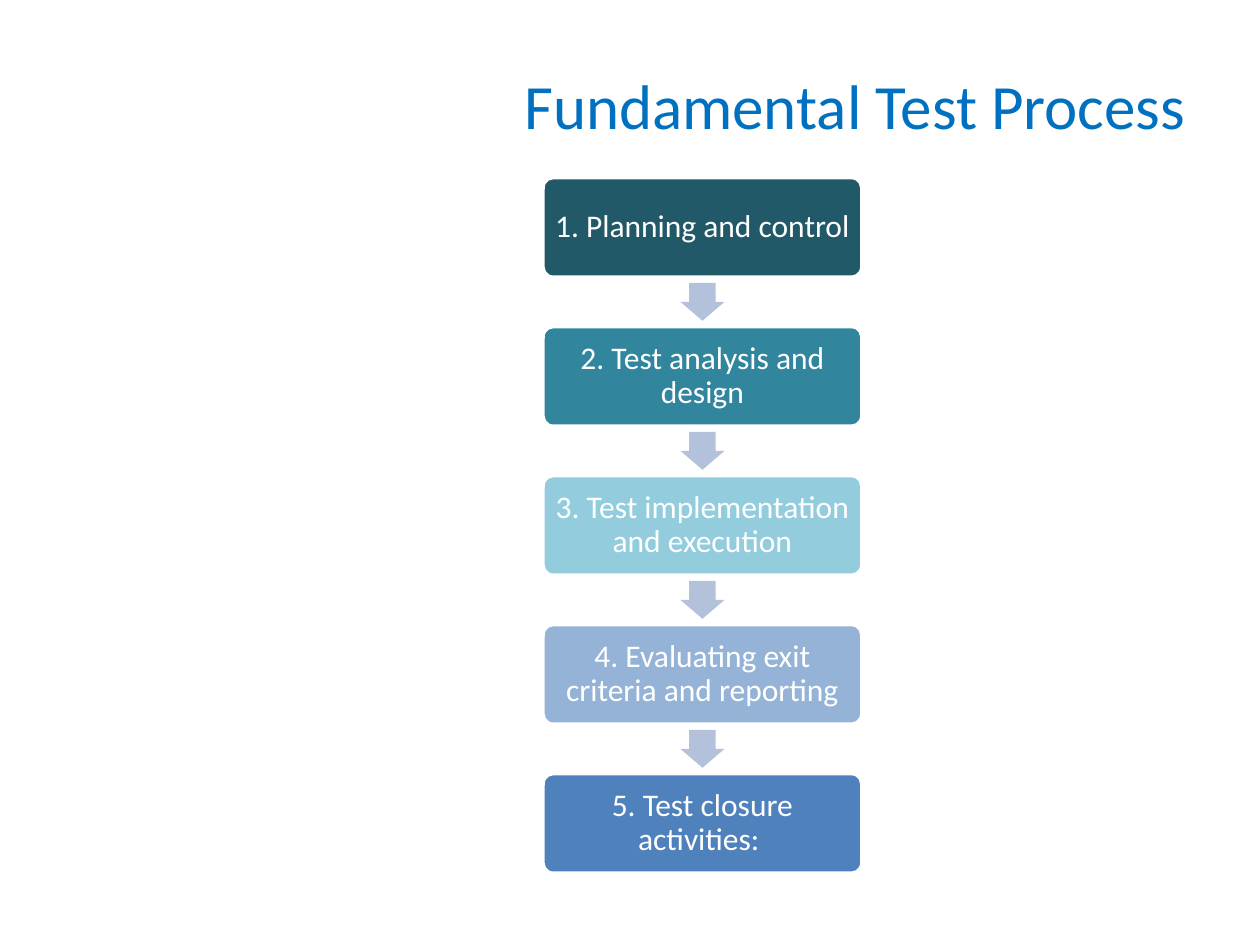
import pptx
import pptx.util
import pptx.dml.color
import pptx.enum.shapes
import pptx.enum.text
from dataclasses import dataclass

Inch = pptx.util.Inches
Shape = pptx.enum.shapes.MSO_SHAPE
Align = pptx.enum.text.PP_ALIGN
Anchor = pptx.enum.text.MSO_ANCHOR


@dataclass(frozen=True)
class Theme:
    font: str = "Calibri"
    head: str = "0070C0"
    white: str = "FFFFFF"
    arrow: str = "B3C1DB"
    big: int = 36
    body: int = 18


theme = Theme()


def color(code):
    return pptx.dml.color.RGBColor.from_string(code)


def write(frame, text, size, tint, align):
    """Set the text, then format its one paragraph."""
    frame.text = text
    frame.word_wrap = True
    frame.vertical_anchor = Anchor.MIDDLE
    para = frame.paragraphs[0]
    para.alignment = align
    font = para.runs[0].font
    font.name = theme.font
    font.size = pptx.util.Pt(size)
    font.color.rgb = color(tint)
    return para


steps = [
    ("1. Planning and control", "215968"),
    ("2. Test analysis and design", "31859C"),
    ("3. Test implementation and execution", "93CDDD"),
    ("4. Evaluating exit criteria and reporting", "95B3D7"),
    ("5. Test closure activities: ", "4F81BD"),
]

# One column of boxes; each row holds a box and the gap below it.
left, top = 4.31, 1.41
width, height = 2.53, 0.79
row = 4.73 / (len(steps) - 1)
long, wide = 0.3, 0.35

deck = pptx.Presentation()
deck.slide_width = Inch(10)
deck.slide_height = Inch(7.5)
slide = deck.slides.add_slide(deck.slide_layouts[5])

title = slide.shapes.title
title.left, title.top = Inch(0.66), Inch(0.41)
title.width, title.height = Inch(8.85), Inch(0.84)
write(title.text_frame, "Fundamental Test Process", theme.big, theme.head, Align.RIGHT)

for i, (text, fill) in enumerate(steps):
    y = top + i * row
    box = slide.shapes.add_shape(
        Shape.ROUNDED_RECTANGLE, Inch(left), Inch(y), Inch(width), Inch(height))
    box.shadow.inherit = False
    box.adjustments[0] = 0.1
    box.fill.solid()
    box.fill.fore_color.rgb = color(fill)
    box.line.color.rgb = color(theme.white)
    box.line.width = pptx.util.Pt(2)
    frame = box.text_frame
    frame.margin_left = frame.margin_right = Inch(0.07)
    frame.margin_top = frame.margin_bottom = Inch(0.07)
    para = write(frame, text, theme.body, theme.white, Align.CENTER)
    para.line_spacing = 0.9

    if i < len(steps) - 1:
        mid = y + (height + row) / 2
        arrow = slide.shapes.add_shape(
            Shape.RIGHT_ARROW, Inch(left + (width - long) / 2), Inch(mid - wide / 2),
            Inch(long), Inch(wide))
        arrow.rotation = 90
        arrow.shadow.inherit = False
        arrow.adjustments[0] = 0.6
        arrow.adjustments[1] = 0.5
        arrow.fill.solid()
        arrow.fill.fore_color.rgb = color(theme.arrow)
        arrow.line.fill.background()

deck.save("out.pptx")
